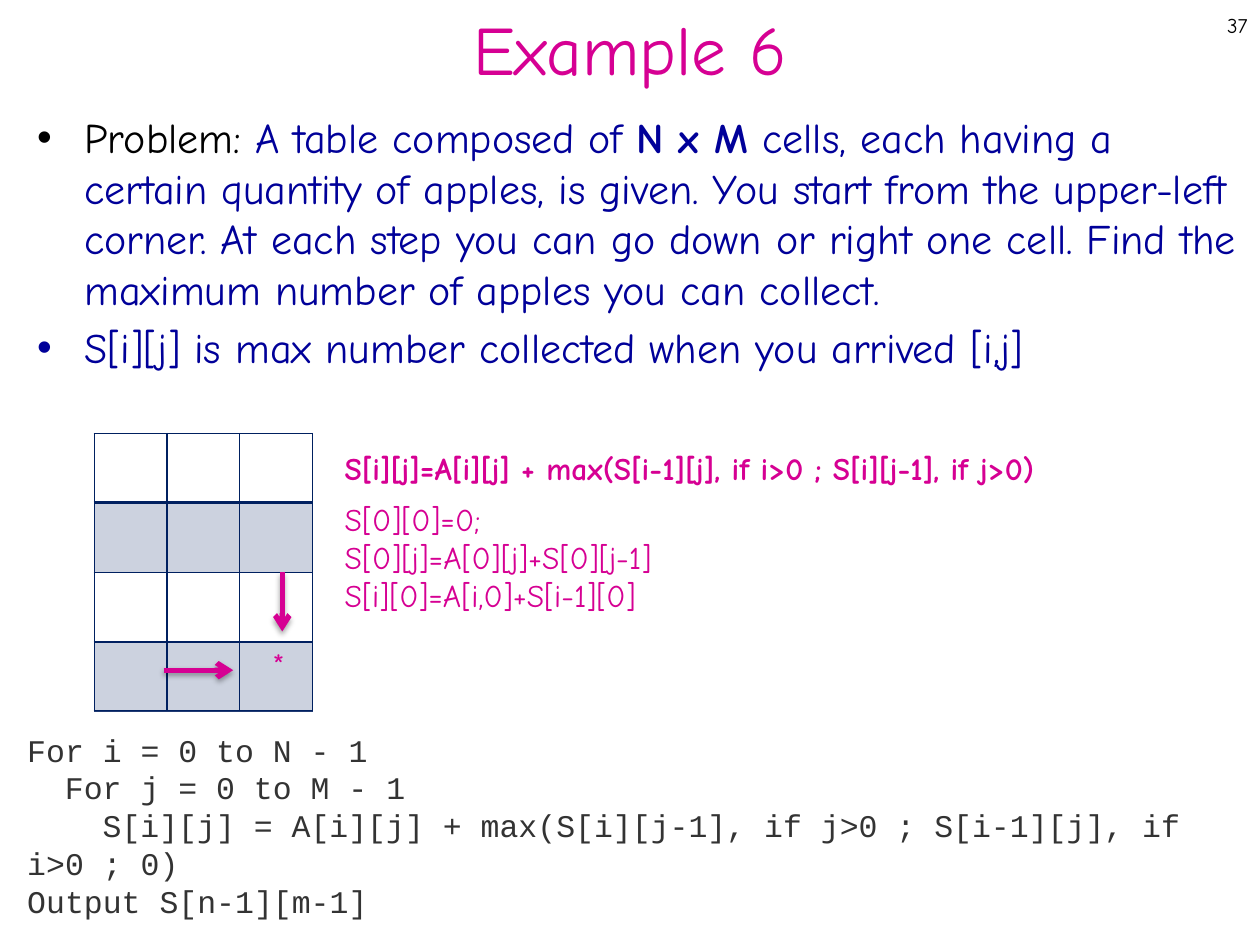
from lxml import etree
from pptx import Presentation
from pptx import util as u
from pptx.dml.color import RGBColor
from pptx.enum import shapes, text
from pptx.oxml import parse_xml
from pptx.oxml.ns import nsdecls, qn

Cm, Pt = u.Cm, u.Pt
PINK = RGBColor(0xD6, 0x00, 0x93)
BLUE = RGBColor(0x00, 0x00, 0x99)
NAVY = RGBColor(0x00, 0x20, 0x60)
BAND = RGBColor(0xCC, 0xD2, 0xDF)
GREY = RGBColor(0x33, 0x33, 0x33)
BLACK = RGBColor(0x00, 0x00, 0x00)
WHITE = RGBColor(0xFF, 0xFF, 0xFF)
HAND, CODE = "Comic Neue", "Courier New"
ROWS, COLS = 4, 3


def add_run(paragraph, words, size, color, font=HAND, bold=False):
    run = paragraph.add_run()
    run.text = words
    run.font.size = Pt(size)
    run.font.name = font
    run.font.bold = bold
    run.font.color.rgb = color


def next_paragraph(frame, index):
    return frame.add_paragraph() if index else frame.paragraphs[0]


def add_lines(slide, box, lines, size, color, bold=False,
              align=text.PP_ALIGN.LEFT, anchor=text.MSO_ANCHOR.TOP):
    frame = slide.shapes.add_textbox(*map(Cm, box)).text_frame
    frame.word_wrap = True
    frame.vertical_anchor = anchor
    for index, line in enumerate(lines):
        paragraph = next_paragraph(frame, index)
        paragraph.alignment = align
        add_run(paragraph, line, size, color, bold=bold)


def set_indent(paragraph, left, first):
    properties = paragraph._p.get_or_add_pPr()
    properties.set("marL", str(Cm(left)))
    properties.set("indent", str(Cm(first)))
    return properties


def add_bullets(slide, box, bullets):
    frame = slide.shapes.add_textbox(*map(Cm, box)).text_frame
    frame.word_wrap = True
    for index, runs in enumerate(bullets):
        paragraph = next_paragraph(frame, index)
        paragraph.space_before = Pt(4.8)
        properties = set_indent(paragraph, 0.95, -0.95)
        etree.SubElement(properties, qn("a:buFont"), typeface="Arial")
        etree.SubElement(properties, qn("a:buChar"), char="•")
        for words, color, bold in runs:
            add_run(paragraph, words, 24, color, bold=bold)


def set_borders(cell, widths):
    """Draw the cell's edges; widths are points for left, right, top, bottom."""
    properties = cell._tc.get_or_add_tcPr()
    for index, (side, width) in enumerate(zip("LRTB", widths)):
        properties.insert(index, parse_xml(
            f'<a:ln{side} {nsdecls("a")} w="{Pt(width)}"><a:solidFill>'
            f'<a:srgbClr val="{NAVY}"/></a:solidFill></a:ln{side}>'))


def add_apple_grid(slide):
    grid = slide.shapes.add_table(
        ROWS, COLS, Cm(1.9), Cm(8.74), Cm(4.4), Cm(5.6)).table
    grid.first_row = grid.horz_banding = False
    for row in range(ROWS):
        for col in range(COLS):
            cell = grid.cell(row, col)
            cell.fill.solid()
            cell.fill.fore_color.rgb = BAND if row % 2 else WHITE
            set_borders(cell, (1, 1, 2 if row == 1 else 1, 2 if row == 0 else 1))
    target = grid.cell(ROWS - 1, COLS - 1)
    target.margin_left = Cm(0.66)
    add_run(target.text_frame.paragraphs[0], "*", 18, PINK)


def add_move(slide, start, end):
    arrow = slide.shapes.add_connector(
        shapes.MSO_CONNECTOR.STRAIGHT, *map(Cm, start + end))
    arrow.line.color.rgb = PINK
    arrow.line.width = Pt(3)
    etree.SubElement(arrow.line._get_or_add_ln(), qn("a:tailEnd"), type="arrow")
    arrow._element.spPr.append(parse_xml(
        f'<a:effectLst {nsdecls("a")}><a:outerShdw blurRad="{Pt(3.1)}" '
        f'dist="{Pt(1.8)}" dir="5400000" rotWithShape="0"><a:srgbClr val="000000">'
        '<a:alpha val="35000"/></a:srgbClr></a:outerShdw></a:effectLst>'))


def add_code(slide, box, lines):
    panel = slide.shapes.add_shape(shapes.MSO_SHAPE.RECTANGLE, *map(Cm, box))
    panel.shadow.inherit = False
    panel.fill.solid()
    panel.fill.fore_color.rgb = WHITE
    panel.line.fill.background()
    frame = panel.text_frame
    frame.word_wrap = True
    frame.vertical_anchor = text.MSO_ANCHOR.MIDDLE
    frame.margin_top = frame.margin_bottom = Cm(0.36)
    for index, (level, line) in enumerate(lines):
        paragraph = next_paragraph(frame, index)
        paragraph.alignment = text.PP_ALIGN.LEFT
        set_indent(paragraph, 0, 0.76 * level)
        add_run(paragraph, line, 18, GREY, CODE)


def main():
    deck = Presentation()
    deck.slide_width, deck.slide_height = Cm(25.4), Cm(19.05)
    slide = deck.slides.add_slide(deck.slide_layouts[6])

    middle = text.MSO_ANCHOR.MIDDLE
    add_lines(slide, (0, 0, 25.4, 1.93), ["Example 6"], 39.6, PINK,
              align=text.PP_ALIGN.CENTER, anchor=middle)
    add_bullets(slide, (0.5, 2.13, 24.9, 6.6), [
        [("Problem: ", BLACK, False),
         ("A table composed of ", BLUE, False),
         ("N x M", BLUE, True),
         (" cells, each having a certain quantity of apples, is given. "
          "You start from the upper-left corner. At each step you can go down "
          "or right one cell. Find the maximum number of apples you can "
          "collect.", BLUE, False)],
        [("S[i][j] is max number collected when you arrived [i,j]", BLUE, False)],
    ])
    add_lines(slide, (19.48, 0, 5.92, 1.02), ["37"], 12, BLACK,
              align=text.PP_ALIGN.RIGHT, anchor=middle)

    add_apple_grid(slide)
    add_move(slide, (5.69, 11.53), (5.69, 12.73))
    add_move(slide, (3.3, 13.51), (4.7, 13.51))

    add_lines(slide, (6.7, 8.92, 18, 1.02),
              ["S[i][j]=A[i][j] + max(S[i-1][j], if i>0 ; S[i][j-1], if j>0)"],
              18, PINK, bold=True)
    add_lines(slide, (6.7, 9.96, 12.7, 2.57),
              ["S[0][0]=0;", "S[0][j]=A[0][j]+S[0][j-1]",
               "S[i][0]=A[i,0]+S[i-1][0]"], 18, PINK)
    add_code(slide, (0.3, 14.35, 25.1, 4.57), [
        (0, "For i = 0 to N - 1"),
        (1, "For j = 0 to M - 1"),
        (2, "S[i][j] = A[i][j] + max(S[i][j-1], if j>0 ; S[i-1][j], if i>0 ; 0)"),
        (0, "Output S[n-1][m-1]"),
    ])
    deck.save("out.pptx")


if __name__ == "__main__":
    main()
